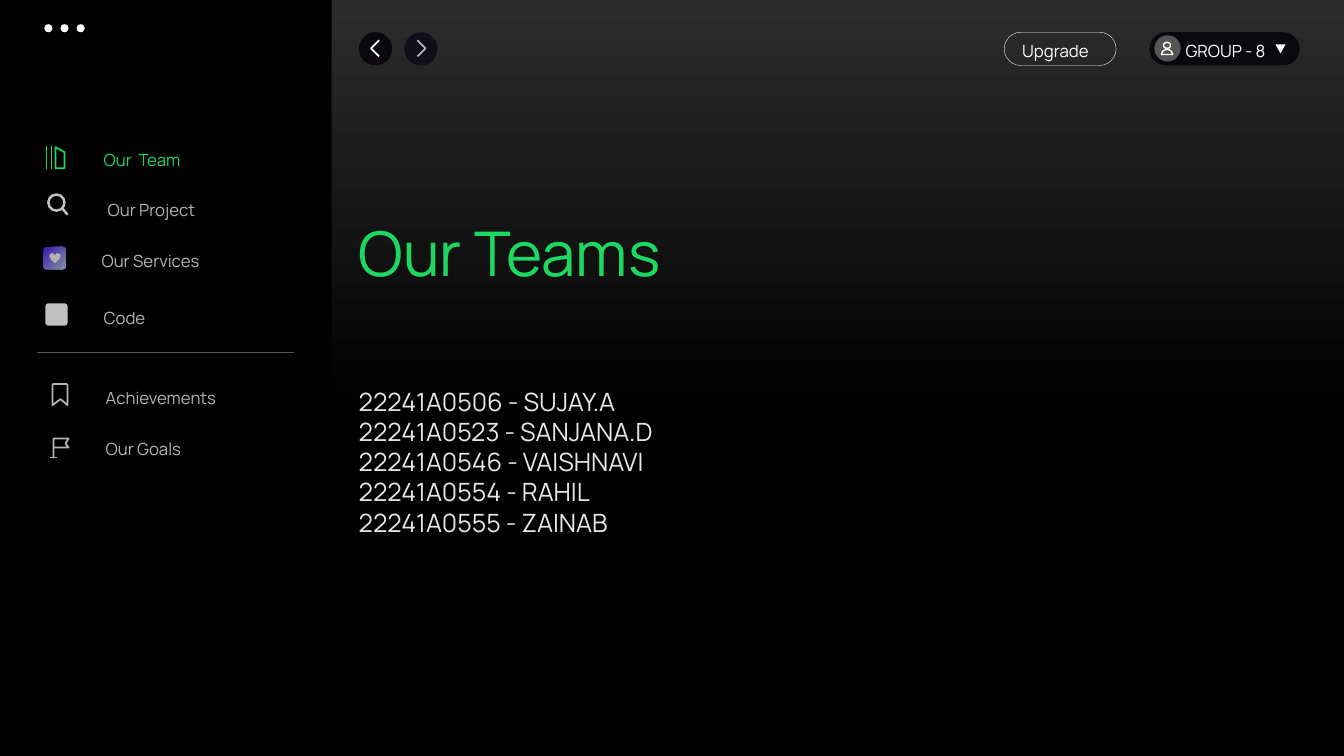
"""Build the dark team slide with its menu, top bar and member list."""
from lxml import etree
from pptx import Presentation
from pptx.dml.color import RGBColor
from pptx.enum.shapes import MSO_CONNECTOR, MSO_SHAPE
from pptx.enum.text import MSO_AUTO_SIZE
from pptx.oxml.ns import qn
from pptx.util import Pt

PX = 9144
FACE = "Manrope"
BLACK = RGBColor(0x00, 0x00, 0x00)
WHITE = RGBColor(0xFF, 0xFF, 0xFF)
GREEN = RGBColor(0x1E, 0xD7, 0x60)
GREY = RGBColor(0xB4, 0xB5, 0xB2)
SILVER = RGBColor(0xC1, 0xC1, 0xC1)
DIM = RGBColor(0x55, 0x55, 0x54)
PALE = RGBColor(0xE7, 0xE6, 0xE6)
COAL = RGBColor(0x2C, 0x2C, 0x2C)
INK = RGBColor(0x0A, 0x08, 0x0F)
BACK = RGBColor(0x0A, 0x07, 0x0E)
NEXT = RGBColor(0x12, 0x0D, 0x1A)
VIOLET = RGBColor(0x42, 0x24, 0xB0)
STEEL = RGBColor(0x7F, 0x93, 0xA0)

RECT = MSO_SHAPE.RECTANGLE
ROUND = MSO_SHAPE.ROUNDED_RECTANGLE
OVAL = MSO_SHAPE.OVAL
HEART = MSO_SHAPE.HEART
ARROW = MSO_SHAPE.ISOSCELES_TRIANGLE
STRAIGHT = MSO_CONNECTOR.STRAIGHT
GROW = MSO_AUTO_SIZE.SHAPE_TO_FIT_TEXT
FIXED = MSO_AUTO_SIZE.NONE

MENU = [
    ("Our  Team", 93, 144, 108, GREEN),
    ("Our Project", 97, 193, 113, GREY),
    ("Our Services", 91, 244, 126, GREY),
    ("Code", 93, 300, 66, GREY),
    ("Achievements", 95, 380, 142, GREY),
    ("Our Goals", 95, 430, 108, GREY),
]
TEAM = [
    "22241A0506 - SUJAY.A",
    "22241A0523 - SANJANA.D",
    "22241A0546 - VAISHNAVI",
    "22241A0554 - RAHIL",
    "22241A0555 - ZAINAB",
]


def emu(*nums):
    """Turn px lengths into EMU."""
    return [num * PX for num in nums]


def style(item, form):
    """Set each format value of a dict on an item."""
    for key, value in form.items():
        setattr(item, key, value)


def blend(fill, stops, angle):
    """Give a fill a linear gradient with two stops."""
    fill.gradient()
    fill.gradient_angle = angle
    for stop, (place, color) in zip(fill.gradient_stops, stops):
        stop.position = place
        stop.color.rgb = color


def paint(shape, fill=None, line=None, width=1.25):
    """Set the fill and outline of a shape, without shadow."""
    shape.shadow.inherit = False
    if fill is None:
        shape.fill.background()
    else:
        shape.fill.solid()
        shape.fill.fore_color.rgb = fill
    if line is None:
        shape.line.fill.background()
    else:
        shape.line.color.rgb = line
        shape.line.width = Pt(width)


def block(slide, kind, box, curve=None, **look):
    """Add a preset shape."""
    shape = slide.shapes.add_shape(kind, *emu(*box))
    if curve is not None:
        shape.adjustments[0] = curve
    paint(shape, **look)
    return shape


def rule(slide, start, end, color, width):
    """Add a straight line."""
    line = slide.shapes.add_connector(STRAIGHT, *emu(*start, *end))
    line.line.color.rgb = color
    line.line.width = Pt(width)
    etree.SubElement(line._element.spPr, qn("a:effectLst"))


def trace(slide, points, color, close=False, width=1.25):
    """Add an unfilled outline through the points."""
    build = slide.shapes.build_freeform(*points[0], scale=PX)
    build.add_line_segments(points[1:], close=close)
    paint(build.convert_to_shape(), line=color, width=width)


def write(slide, lines, box, color, size=12, **form):
    """Add a text box with one paragraph per line."""
    frame = slide.shapes.add_textbox(*emu(*box)).text_frame
    style(frame, {"word_wrap": False, "auto_size": GROW, **form})
    for row, text in enumerate(lines):
        para = frame.add_paragraph() if row else frame.paragraphs[0]
        run = para.add_run()
        run.text = text
        style(run.font, {"name": FACE, "size": Pt(size)})
        run.font.color.rgb = color


def panel(slide):
    """Draw the side panel with its dots, labels and divider."""
    block(slide, RECT, (0, 0, 329, 750), fill=BLACK)
    for step in range(3):
        block(slide, OVAL, (44 + 16 * step, 24, 8, 8), fill=WHITE)
    for text, left, top, width, color in MENU:
        write(slide, [text], (left, top, width, 30), color)
    rule(slide, (37, 350), (292, 350), DIM, 0.5)


def icons(slide):
    """Draw the menu icons from top to bottom."""
    for left in (46, 51):
        rule(slide, (left, 145), (left, 168), GREEN, 1)
    trace(slide, [(55, 146), (64, 151), (64, 167), (55, 167)], GREEN, True)
    block(slide, OVAL, (48, 193, 16, 16), line=SILVER, width=1.75)
    rule(slide, (62, 207), (67, 213), SILVER, 1.75)
    tile = block(slide, ROUND, (43, 245, 22, 22), 0.13, fill=VIOLET)
    blend(tile.fill, [(0.11, VIOLET), (1, STEEL)], 315)
    block(slide, HEART, (49, 251, 11, 10), fill=GREY)
    block(slide, ROUND, (45, 301, 22, 22), 0.13, fill=SILVER)
    mark = [(52, 402), (52, 382), (53, 381), (66, 381), (67, 382),
            (67, 402), (60, 396)]
    trace(slide, mark, GREY, True)
    flag = [(53, 454), (53, 435), (68, 435), (65, 440), (68, 444), (53, 444)]
    trace(slide, flag, GREY)
    rule(slide, (50, 454), (57, 454), GREY, 1.25)


def header(slide):
    """Draw the arrow buttons, the upgrade pill and the group pill."""
    for left, tip, tail, fill, color in (
            (356, 368, 376, BACK, WHITE), (401, 422, 414, NEXT, GREY)):
        block(slide, OVAL, (left, 32, 33, 33), fill=fill)
        trace(slide, [(tail, 40), (tip, 48), (tail, 56)], color)
    block(slide, ROUND, (996, 32, 111, 33), 0.5, line=WHITE, width=0.25)
    write(slide, ["Upgrade"], (1004, 36, 94, 30), WHITE)
    block(slide, ROUND, (1140, 32, 149, 33), 0.5, fill=INK)
    write(slide, ["GROUP - 8"], (1166, 36, 108, 30), WHITE)
    block(slide, OVAL, (1145, 35, 26, 26), fill=DIM)
    block(slide, OVAL, (1154, 42, 7, 6), line=WHITE, width=1)
    bust = [(1152, 54), (1153, 51), (1156, 49), (1159, 49), (1162, 51),
            (1163, 54)]
    trace(slide, bust, WHITE, True, 1)
    block(slide, ARROW, (1265, 44, 10, 9), fill=WHITE).rotation = 180


def main():
    """Build and save the slide."""
    deck = Presentation()
    deck.slide_width, deck.slide_height = emu(1333, 750)
    slide = deck.slides.add_slide(deck.slide_layouts[6])
    blend(slide.background.fill, [(0, COAL), (0.55, BLACK)], 270)
    panel(slide)
    icons(slide)
    header(slide)
    write(slide, ["Our Teams"], (346, 208, 360, 84), GREEN, 44)
    write(slide, TEAM, (346, 348, 667, 252), PALE, 18, word_wrap=True,
          auto_size=FIXED, margin_top=35 * PX)
    deck.save("out.pptx")


if __name__ == "__main__":
    main()
